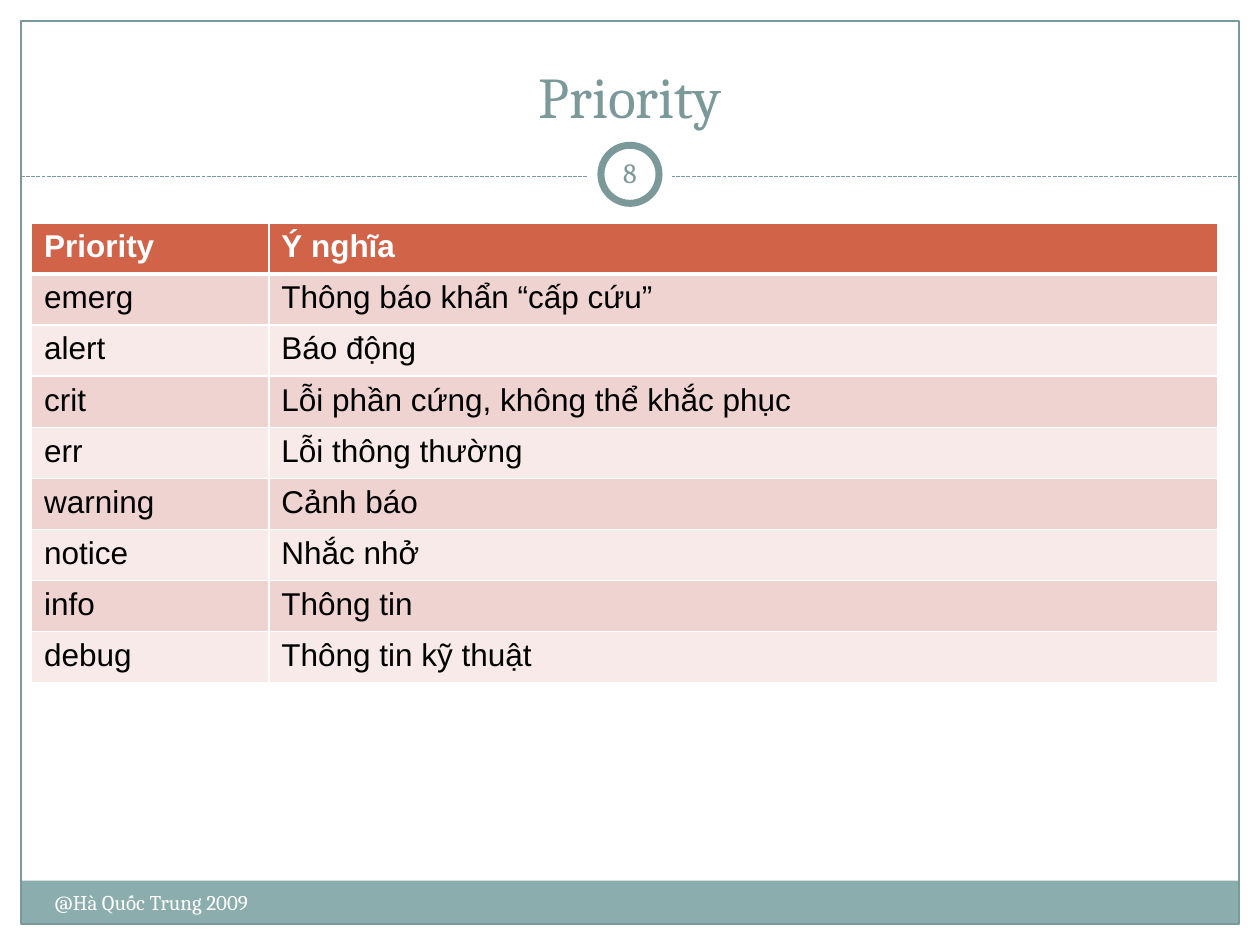
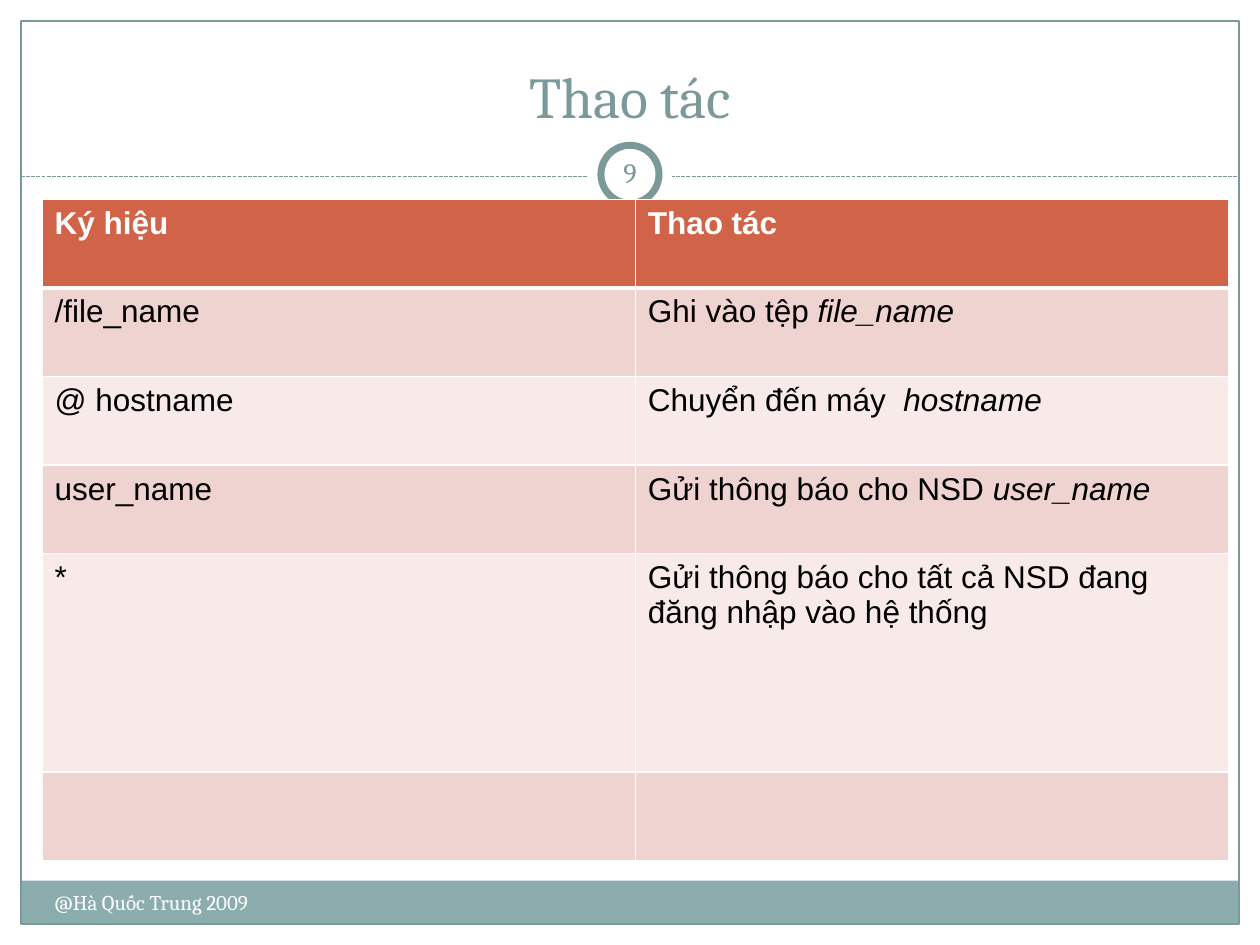
from pptx import Presentation
from pptx.dml.color import RGBColor
from pptx.enum.dml import MSO_LINE
from pptx.enum.shapes import MSO_CONNECTOR, MSO_SHAPE
from pptx.enum.text import MSO_ANCHOR, PP_ALIGN
from pptx.oxml.ns import qn
from pptx.util import Pt
from lxml import etree

RECT, OVAL = MSO_SHAPE.RECTANGLE, MSO_SHAPE.OVAL
LEFT, CENTER = PP_ALIGN.LEFT, PP_ALIGN.CENTER
TOP, MIDDLE, BOTTOM = MSO_ANCHOR.TOP, MSO_ANCHOR.MIDDLE, MSO_ANCHOR.BOTTOM
DASH = MSO_LINE.SQUARE_DOT

WHITE, BLACK = "FFFFFF", "000000"
TEAL, BAND = "7C999A", "8CADAE"
HEADER, ROW_DARK, ROW_LIGHT = "D16349", "EED3D0", "F7EAE9"
HEADING_FONT, TABLE_FONT = "Cambria", "Arial"

SLIDE_W, SLIDE_H = 720, 540
MARGIN = 12
BADGE_Y = 99.6
FOOTER = "@Hà Quốc Trung 2009"

PRIORITIES = [
    ("Priority", "Ý nghĩa"),
    ("emerg", "Thông báo khẩn “cấp cứu”"),
    ("alert", "Báo động"),
    ("crit", "Lỗi phần cứng, không thể khắc phục"),
    ("err", "Lỗi thông thường"),
    ("warning", "Cảnh báo"),
    ("notice", "Nhắc nhở"),
    ("info", "Thông tin"),
    ("debug", "Thông tin kỹ thuật"),
]
# A tuple in a cell holds plain text followed by an italic name.
ACTIONS = [
    ("Ký hiệu", "Thao tác"),
    ("/file_name", ("Ghi vào tệp ", "file_name")),
    ("@ hostname", ("Chuyển đến máy  ", "hostname")),
    ("user_name", ("Gửi thông báo cho NSD ", "user_name")),
    ("*", "Gửi thông báo cho tất cả NSD đang đăng nhập vào hệ thống"),
    ("", ""),
]


def rgb(color):
    return RGBColor.from_string(color)


def add_run(p, text, font, size, color, bold=False, italic=False):
    r = p.add_run()
    r.text = text
    r.font.name = font
    r.font.size = Pt(size)
    r.font.bold = bold
    r.font.italic = italic
    r.font.color.rgb = rgb(color)


def add_box(slide, kind, x, y, w, h, fill=None, line=None, width=0.75):
    sp = slide.shapes.add_shape(kind, Pt(x), Pt(y), Pt(w), Pt(h))
    sp.shadow.inherit = False
    if fill:
        sp.fill.solid()
        sp.fill.fore_color.rgb = rgb(fill)
    else:
        sp.fill.background()
    if line:
        sp.line.color.rgb = rgb(line)
        sp.line.width = Pt(width)
    else:
        sp.line.fill.background()


def add_disc(slide, diameter, line=None, width=0.75):
    """Add a white circle centred on the slide number."""
    x, y = (SLIDE_W - diameter) / 2, BADGE_Y - diameter / 2
    add_box(slide, OVAL, x, y, diameter, diameter, WHITE, line, width)


def add_dashed_line(slide, x1, x2, y):
    line = slide.shapes.add_connector(
        MSO_CONNECTOR.STRAIGHT, Pt(x1), Pt(y), Pt(x2), Pt(y))
    line.line.color.rgb = rgb(TEAL)
    line.line.width = Pt(0.75)
    line.line.dash_style = DASH
    etree.SubElement(line._element.spPr, qn("a:effectLst"))


def add_text(slide, text, x, y, w, h, size, color, align=LEFT, anchor=TOP,
             inset=None):
    tf = slide.shapes.add_textbox(Pt(x), Pt(y), Pt(w), Pt(h)).text_frame
    tf.word_wrap = True
    tf.vertical_anchor = anchor
    if inset is not None:
        tf.margin_left = tf.margin_right = Pt(inset)
        tf.margin_top = tf.margin_bottom = Pt(inset)
    p = tf.paragraphs[0]
    p.alignment = align
    add_run(p, text, HEADING_FONT, size, color)


def set_borders(cell, top, bottom):
    """Give a cell white borders; side borders are 1 pt wide."""
    tcPr = cell._tc.get_or_add_tcPr()
    for side, width in (("L", 1), ("R", 1), ("T", top), ("B", bottom)):
        ln = etree.SubElement(tcPr, qn(f"a:ln{side}"), w=str(Pt(width)))
        fill = etree.SubElement(ln, qn("a:solidFill"))
        etree.SubElement(fill, qn("a:srgbClr"), val=WHITE)


def fill_cell(cell, content, row):
    is_header = row == 0
    set_borders(cell, 3 if row == 1 else 1, 3 if is_header else 1)
    cell.fill.solid()
    shade = ROW_DARK if row % 2 else ROW_LIGHT
    cell.fill.fore_color.rgb = rgb(HEADER if is_header else shade)
    parts = (content,) if isinstance(content, str) else content
    for i, text in enumerate(parts):
        if text:
            add_run(cell.text_frame.paragraphs[0], text, TABLE_FONT, 18,
                    WHITE if is_header else BLACK,
                    bold=is_header, italic=i > 0)


def add_table(slide, rows, x, y, col_widths, row_heights):
    table = slide.shapes.add_table(
        len(rows), len(col_widths), Pt(x), Pt(y),
        Pt(sum(col_widths)), Pt(sum(row_heights))).table
    for col, width in zip(table.columns, col_widths):
        col.width = Pt(width)
    for i, (row, height) in enumerate(zip(rows, row_heights)):
        table.rows[i].height = Pt(height)
        for j, content in enumerate(row):
            fill_cell(table.cell(i, j), content, i)


def add_slide(prs, title, number):
    """Add a slide with the shared frame, footer, title and number."""
    slide = prs.slides.add_slide(prs.slide_layouts[6])
    slide.background.fill.solid()
    slide.background.fill.fore_color.rgb = rgb(WHITE)
    inner_w = SLIDE_W - 2 * MARGIN
    add_box(slide, RECT, MARGIN, 503.3, inner_w, 24.5, BAND)
    add_box(slide, RECT, MARGIN, MARGIN, inner_w, SLIDE_H - 2 * MARGIN,
            line=TEAL)
    add_dashed_line(slide, MARGIN, SLIDE_W - MARGIN, 100.8)
    add_disc(slide, 48)
    add_disc(slide, 33.2, TEAL, 4)
    add_text(slide, title, 24, 18, 672, 60, 33, TEAL, CENTER, BOTTOM)
    add_text(slide, FOOTER, 24, 504.7, 282, 28.8, 12, WHITE)
    add_text(slide, str(number), 342, 81.4, 36, 34.6, 16, TEAL, CENTER,
             MIDDLE, inset=3.6)
    return slide


def main():
    prs = Presentation()
    prs.slide_width, prs.slide_height = Pt(SLIDE_W), Pt(SLIDE_H)

    slide = add_slide(prs, "Priority", 8)
    add_table(slide, PRIORITIES, 18, 127.4, [135.6, 542.4],
              [29.2] * len(PRIORITIES))

    slide = add_slide(prs, "Thao tác", 9)
    add_table(slide, ACTIONS, 24, 114, [339, 339],
              [50.6] * 4 + [124.8, 50.6])

    prs.save("out.pptx")


if __name__ == "__main__":
    main()
